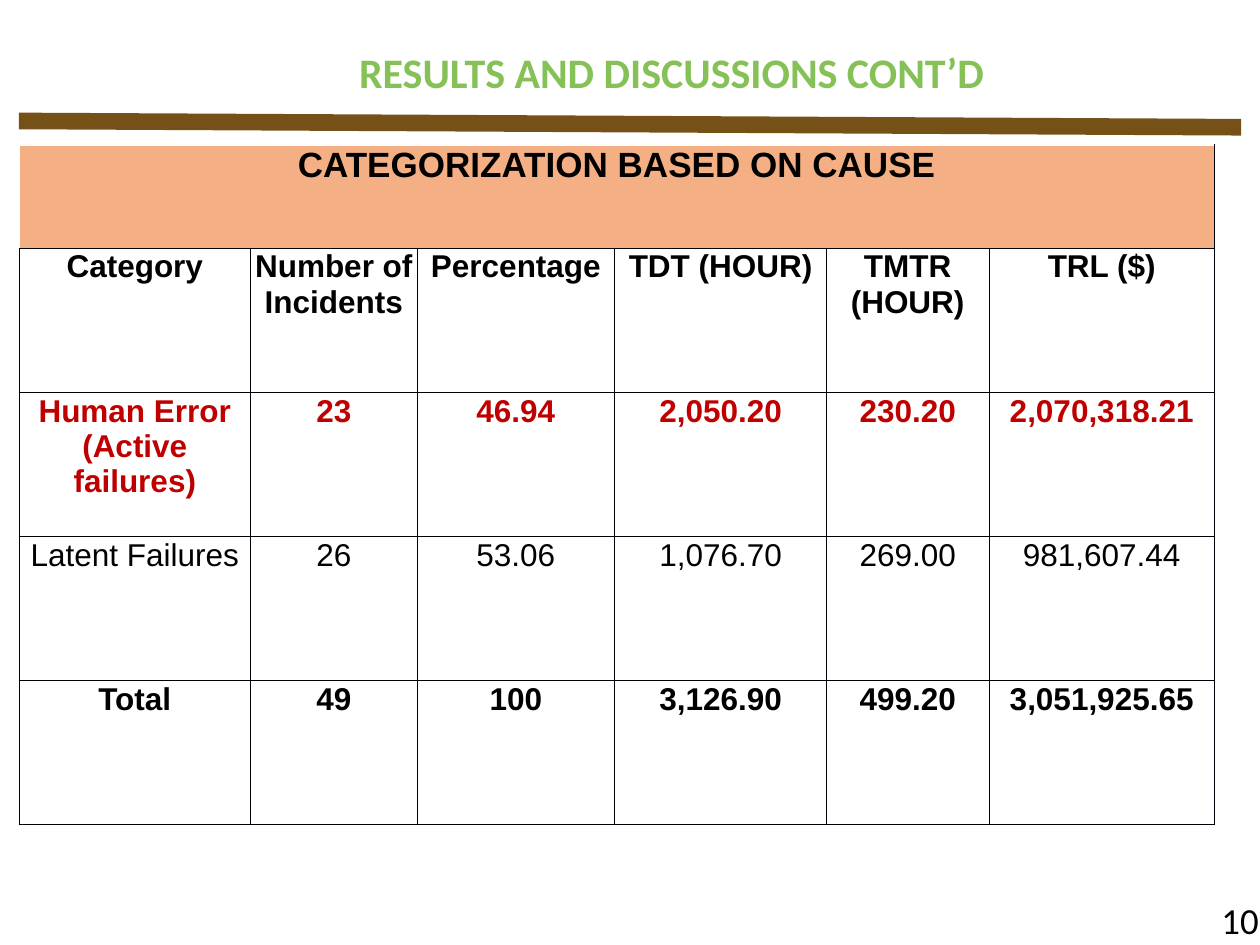
from lxml.etree import SubElement
from pptx import Presentation
from pptx.dml.color import RGBColor
from pptx.enum.shapes import MSO_CONNECTOR
from pptx.enum.text import MSO_ANCHOR, PP_ALIGN
from pptx.oxml.ns import qn
from pptx.util import Inches, Pt

COLUMNS, ROWS = 100, 75
COLORS = {
    "background": "FFFFFF",
    "title": "86C157",
    "rule": "755017",
    "banner": "F4B084",
    "text": "000000",
    "highlight": "C00000",
    "border": "000008",
}
BANNER = "CATEGORIZATION BASED ON CAUSE"
TABLE_ROWS = [
    ("Category", "Number of Incidents", "Percentage", "TDT (HOUR)", "TMTR (HOUR)", "TRL ($)"),
    ("Human Error (Active failures)", "23", "46.94", "2,050.20", "230.20", "2,070,318.21"),
    ("Latent Failures", "26", "53.06", "1,076.70", "269.00", "981,607.44"),
    ("Total", "49", "100", "3,126.90", "499.20", "3,051,925.65"),
]
ROW_FORMATS = [
    {"bold": True},
    {"bold": True, "color": "highlight"},
    {},
    {"bold": True},
]
COLUMN_WIDTHS = [18.4, 13.2, 15.7, 16.8, 12.9, 17.9]
ROW_HEIGHTS = [8.2] + [11.44] * len(TABLE_ROWS)


def rgb(name):
    return RGBColor.from_string(COLORS[name])


def write_text(frame, text, font="Arial", size=18, color="text", bold=False,
               align=PP_ALIGN.CENTER, anchor=MSO_ANCHOR.TOP):
    frame.word_wrap = True
    frame.vertical_anchor = anchor
    paragraph = frame.paragraphs[0]
    paragraph.alignment = align
    run = paragraph.add_run()
    run.text = text
    run.font.name = font
    run.font.size = Pt(size)
    run.font.bold = bold
    run.font.color.rgb = rgb(color)


class SlideBuilder:
    def __init__(self, presentation):
        self.column = presentation.slide_width / COLUMNS
        self.row = presentation.slide_height / ROWS
        self.slide = presentation.slides.add_slide(presentation.slide_layouts[5])
        fill = self.slide.background.fill
        fill.solid()
        fill.fore_color.rgb = rgb("background")

    def x(self, columns):
        return round(columns * self.column)

    def y(self, rows):
        return round(rows * self.row)

    def box(self, left, top, width, height):
        return self.x(left), self.y(top), self.x(width), self.y(height)

    def title(self, text, *area):
        shape = self.slide.shapes.title
        shape.left, shape.top, shape.width, shape.height = self.box(*area)
        write_text(shape.text_frame, text, font="Calibri", size=24, color="title",
                   bold=True, anchor=MSO_ANCHOR.MIDDLE)

    def page_number(self, text, *area):
        frame = self.slide.shapes.add_textbox(*self.box(*area)).text_frame
        frame.margin_left = frame.margin_right = 0
        write_text(frame, text, font="Calibri", size=21,
                   align=PP_ALIGN.RIGHT, anchor=MSO_ANCHOR.MIDDLE)

    def rule(self, left, top, right, bottom, width):
        connector = self.slide.shapes.add_connector(
            MSO_CONNECTOR.STRAIGHT, self.x(left), self.y(top), self.x(right), self.y(bottom))
        connector.line.color.rgb = rgb("rule")
        connector.line.width = Pt(width)
        SubElement(connector.element.spPr, qn("a:effectLst"))

    def cell(self, cell, text, sides="LRTB", fill="background", **text_format):
        cell.margin_left = cell.margin_right = cell.margin_top = Inches(0.01)
        cell.margin_bottom = 0
        properties = cell._tc.get_or_add_tcPr()
        for side in sides:
            line = SubElement(properties, qn(f"a:ln{side}"), w=str(Pt(0.5)))
            solid = SubElement(line, qn("a:solidFill"))
            SubElement(solid, qn("a:srgbClr"), val=COLORS["border"])
        cell.fill.solid()
        cell.fill.fore_color.rgb = rgb(fill)
        write_text(cell.text_frame, text, **text_format)

    def table(self, left, top):
        area = self.box(left, top, sum(COLUMN_WIDTHS), sum(ROW_HEIGHTS))
        table = self.slide.shapes.add_table(
            len(ROW_HEIGHTS), len(COLUMN_WIDTHS), *area).table
        table.first_row = table.horz_banding = False
        for column, width in zip(table.columns, COLUMN_WIDTHS):
            column.width = self.x(width)
        for row, height in zip(table.rows, ROW_HEIGHTS):
            row.height = self.y(height)
        banner = table.cell(0, 0)
        banner.merge(table.cell(0, len(COLUMN_WIDTHS) - 1))
        self.cell(banner, BANNER, sides="RB", fill="banner", size=20, bold=True)
        for row_index, (values, row_format) in enumerate(zip(TABLE_ROWS, ROW_FORMATS), 1):
            for column_index, value in enumerate(values):
                self.cell(table.cell(row_index, column_index), value, **row_format)


def main():
    presentation = Presentation()
    presentation.slide_width = Inches(10)
    presentation.slide_height = Inches(7.5)
    builder = SlideBuilder(presentation)
    builder.page_number("10", 93.6, 71, 6.3, 4)
    builder.title("RESULTS AND DISCUSSIONS CONT’D", 23.8, 3.2, 59, 5)
    builder.rule(1.5, 9.6, 98.5, 10.1, width=9.5)
    builder.table(1.5, 11.5)
    presentation.save("out.pptx")


if __name__ == "__main__":
    main()
